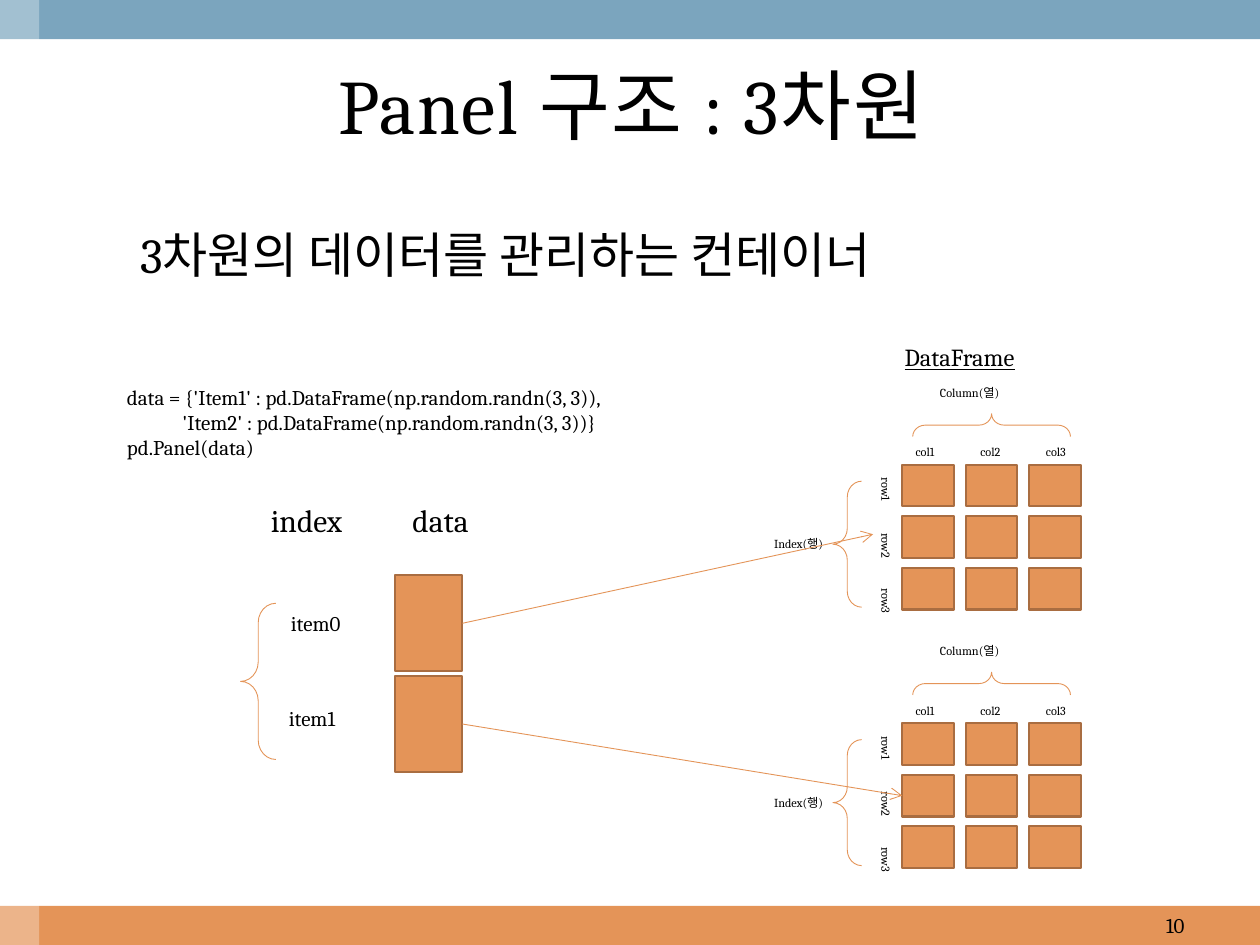
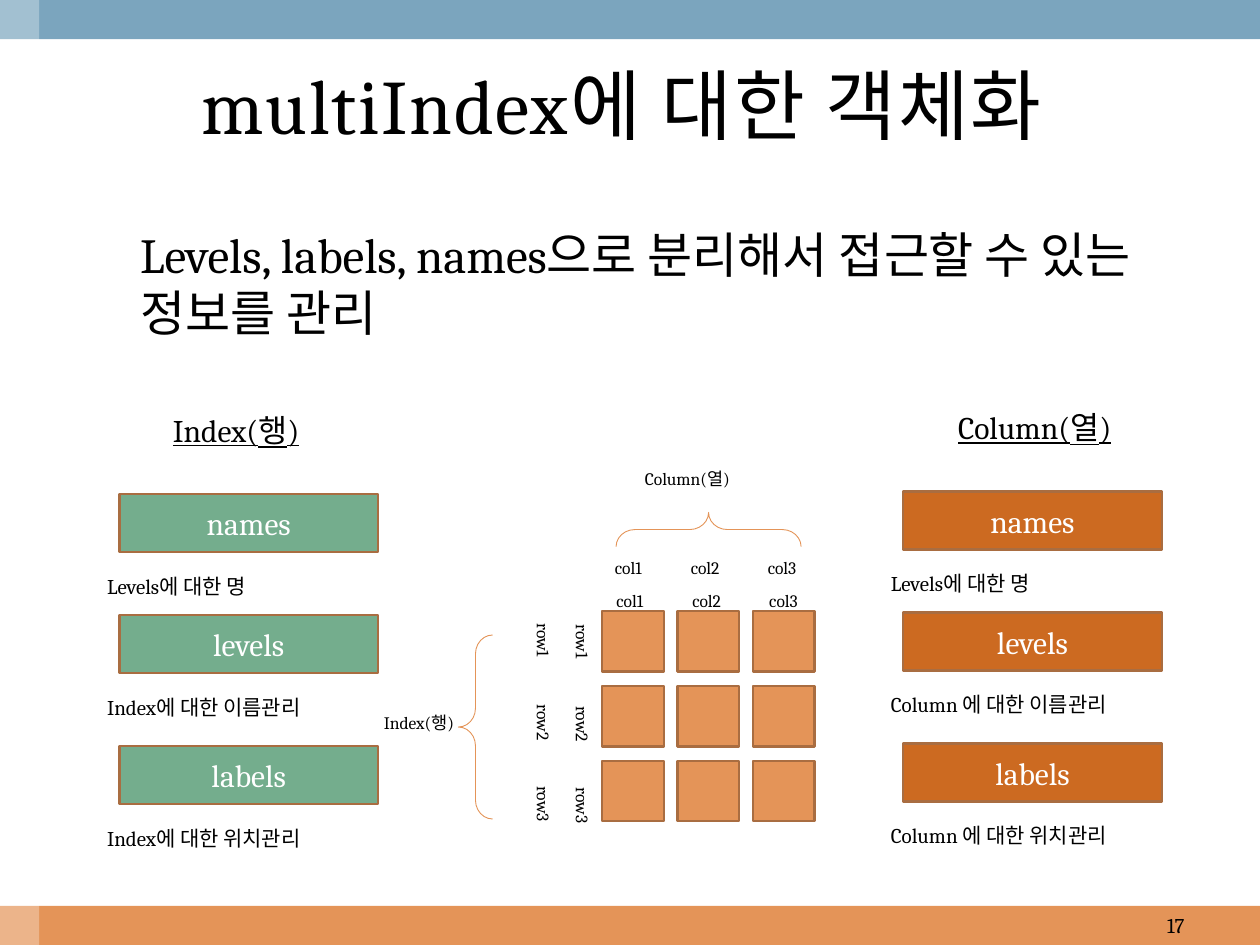
from dataclasses import dataclass

from pptx import Presentation
from pptx import util as u
from pptx.dml.color import RGBColor
from pptx.enum import shapes, text
from pptx.oxml.ns import qn
from lxml import etree

FONT = "Cambria"
COLORS = {
    "orange": "E49458", "blue": "7BA5BE", "white": "FFFFFF", "black": "000000",
    "outline": "A96D41", "green": "74AD8D", "rust": "CC6A21",
}
SLIDE_W, SLIDE_H, BAND = 25.4, 19.05, 0.79
LEFT, CENTER, RIGHT = text.PP_ALIGN.LEFT, text.PP_ALIGN.CENTER, text.PP_ALIGN.RIGHT


@dataclass
class FrameLayout:
    """Sizes in cm and offsets (dx, dy) from the top left cell of a DataFrame."""
    cell: tuple
    pitch: tuple
    size: int
    label_h: float
    index: tuple          # dx, dy, width
    column: tuple         # dx, dy, width
    row_brace: tuple      # dx, dy, width, height
    col_brace: tuple      # the same, before rotation
    col_labels: tuple     # dx, dy, width, pitch
    row_labels: tuple     # dx, dy, width, height, pitch


SMALL = FrameLayout(
    (1.04, 0.84), (1.28, 1.04), 7, 0.3, (-3.4, 1.32, 2.62), (0.51, -1.73, 3.12),
    (-1.4, 0.33, 0.58, 2.54), (1.57, -2.39, 0.46, 3.18),
    (-0.13, -0.53, 1.17, 1.32), (-0.58, 0.03, 0.53, 0.48, 1.12))
LARGE = FrameLayout(
    (1.24, 1.22), (1.52, 1.51), 10, 0.69, (-5.23, 1.91, 3.07), (0.61, -3.0, 3.66),
    (-2.9, 0.48, 0.69, 3.71), (1.8, -3.51, 0.69, 3.73),
    (-0.13, -0.56, 1.37, 1.55), (-0.99, 0.03, 0.94, 1.12, 1.64))


def cm(*values):
    return [u.Cm(v) for v in values]


def rgb(name):
    return RGBColor.from_string(COLORS[name])


def add_run(p, content, size, color="black", underline=None):
    r = p.add_run()
    r.text = content
    f = r.font
    f.name, f.size, f.underline = FONT, u.Pt(size), underline
    f.color.rgb = rgb(color)
    return r


def add_label(s, x, y, w, h, lines, size, align=CENTER, underline=None, anchor=None):
    sp = s.shapes.add_textbox(*cm(x, y, w, h))
    tf = sp.text_frame
    tf.word_wrap = True
    tf.vertical_anchor = anchor
    for i, line in enumerate(lines.split("\n")):
        p = tf.add_paragraph() if i else tf.paragraphs[0]
        p.alignment = align
        add_run(p, line, size, underline=underline)
    return sp


def add_rect(s, x, y, w, h, fill, line="outline"):
    sp = s.shapes.add_shape(shapes.MSO_SHAPE.RECTANGLE, *cm(x, y, w, h))
    sp.shadow.inherit = False
    sp.fill.solid()
    sp.fill.fore_color.rgb = rgb(fill)
    if line:
        sp.line.color.rgb = rgb(line)
        sp.line.width = u.Pt(1.25)
    else:
        sp.line.fill.background()
    return sp


def add_brace(s, x, y, w, h, rotation):
    sp = s.shapes.add_shape(shapes.MSO_SHAPE.RIGHT_BRACE, *cm(x, y, w, h))
    sp.shadow.inherit = False
    sp.rotation = rotation
    sp.adjustments[0], sp.adjustments[1] = 0.55, 0.5
    sp.fill.background()
    sp.line.color.rgb = rgb("orange")
    sp.line.width = u.Pt(0.5)


def add_arrow(s, source, x, y):
    """Arrow from the right side of a rectangle to a point."""
    c = s.shapes.add_connector(shapes.MSO_CONNECTOR.STRAIGHT, 0, 0, *cm(x, y))
    c.begin_connect(source, 3)
    c.line.color.rgb = rgb("orange")
    c.line.width = u.Pt(0.5)
    etree.SubElement(c.line._get_or_add_ln(), qn("a:tailEnd"), type="arrow")
    etree.SubElement(c._element.spPr, qn("a:effectLst"))
    return c


def add_bands(s):
    add_rect(s, 0, SLIDE_H - BAND, SLIDE_W, BAND, "orange", None)
    add_rect(s, 0, 0, SLIDE_W, BAND, "blue", None)
    strip = add_rect(s, 0, 0, BAND, SLIDE_H, "white", None)
    color = strip._element.spPr.find(qn("a:solidFill"))[0]
    etree.SubElement(color, qn("a:alpha"), val="30000")


def new_slide(prs, title, body, body_h, number):
    s = prs.slides.add_slide(prs.slide_layouts[1])
    add_bands(s)
    boxes = ((s.shapes.title, (0.84, 0.79, 23.77, 2.62)),
             (s.placeholders[1], (1.3, 4.39, 22.86, body_h)))
    for sp, box in boxes:
        sp.left, sp.top, sp.width, sp.height = cm(*box)
        sp.text_frame.auto_size = text.MSO_AUTO_SIZE.NONE

    tf = s.shapes.title.text_frame
    tf.vertical_anchor = text.MSO_ANCHOR.MIDDLE
    p = tf.paragraphs[0]
    p.alignment = CENTER
    add_run(p, title, 44).font._element.set("spc", "100")

    p = s.placeholders[1].text_frame.paragraphs[0]
    pPr = p._p.get_or_add_pPr()
    pPr.set("marL", str(u.Cm(1.27)))
    pPr.set("indent", "0")
    etree.SubElement(pPr, qn("a:buNone"))
    p.space_before = u.Pt(0)
    add_run(p, body, 28)

    add_label(s, 18.21, SLIDE_H - BAND, 5.92, BAND, number, 12, RIGHT,
              anchor=text.MSO_ANCHOR.MIDDLE)
    return s


def add_col_labels(s, x, y, g):
    dx, dy, w, pitch = g.col_labels
    for i in range(3):
        add_label(s, x + dx + i * pitch, y + dy, w, g.label_h, f"col{i + 1}", g.size)


def add_row_labels(s, x, y, g):
    dx, dy, w, h, pitch = g.row_labels
    for i in range(3):
        sp = add_label(s, x + dx, y + dy + i * pitch, w, h, f"row{i + 1}", g.size, LEFT)
        sp.text_frame.word_wrap = False
        sp.text_frame.auto_size = text.MSO_AUTO_SIZE.SHAPE_TO_FIT_TEXT
        sp.text_frame._txBody.bodyPr.set("vert", "eaVert")


def add_dataframe(s, x, y, g):
    """Draws the 3 x 3 frame and returns its cells, row by row."""
    cells = [add_rect(s, x + col * g.pitch[0], y + row * g.pitch[1], *g.cell, "orange")
             for row in range(3) for col in range(3)]
    for (dx, dy, w), name, align in ((g.index, "Index(행)", CENTER),
                                     (g.column, "Column(열)", LEFT)):
        add_label(s, x + dx, y + dy, w, g.label_h, name, g.size, align)
    for (dx, dy, w, h), rotation in ((g.row_brace, 180), (g.col_brace, 270)):
        add_brace(s, x + dx, y + dy, w, h, rotation)
    add_col_labels(s, x, y, g)
    add_row_labels(s, x, y, g)
    return cells


def add_panel_items(s, x, y):
    """Draws the index and data columns and returns the data boxes."""
    boxes = [add_rect(s, x + 3.12, y + 1.62 + i * 2.03, 1.35, 1.93, "orange")
             for i in range(2)]
    add_label(s, x - 0.03, y, 2.72, 1.02, "index", 18)
    add_label(s, x + 2.67, y, 2.72, 1.02, "data", 18)
    add_brace(s, x, y + 2.18, 0.71, 3.15, 180)
    add_label(s, x - 0.1, y + 2.21, 3.23, 0.76, "item0", 12)
    add_label(s, x + 0.36, y + 4.11, 2.16, 0.76, "item1", 12)
    return boxes


def add_axis_parts(s, x, y, heading, heading_dx, fill, subject):
    add_label(s, x + heading_dx, y - 1.8, 4.7, 1.02, heading, 18, underline=True)
    parts = (("names", 0, "Levels에 대한 명"),
             ("levels", 2.44, f"{subject}에 대한 이름관리"),
             ("labels", 5.08, f"{subject}에 대한 위치관리"))
    for name, dy, caption in parts:
        sp = add_rect(s, x, y + dy, 5.21, 1.17, fill)
        sp.text_frame.vertical_anchor = text.MSO_ANCHOR.MIDDLE
        p = sp.text_frame.paragraphs[0]
        p.alignment = CENTER
        add_run(p, name, 18, "white")
        add_label(s, x - 0.5, y + dy + 1.47, 6.2, 0.64, caption, 12, LEFT)


def panel_slide(prs):
    s = new_slide(prs, "Panel 구조 : 3차원", "3차원의 데이터를 관리하는 컨테이너", 3.73, "10")
    boxes = add_panel_items(s, 4.85, 9.98)
    add_label(s, 14.99, 6.78, 8.71, 0.86, "DataFrame", 14, underline=True)
    add_dataframe(s, 18.19, 9.37, SMALL)
    cells = add_dataframe(s, 18.19, 14.58, SMALL)
    add_arrow(s, boxes[0], 17.6, 10.77)
    add_arrow(s, boxes[1], 18.14, 15.98).end_connect(cells[3], 1)
    add_label(s, 2.31, 7.62, 14.27, 1.8,
              "data = {'Item1' : pd.DataFrame(np.random.randn(3, 3)),\n"
              "            'Item2' : pd.DataFrame(np.random.randn(3, 3))}\n"
              "pd.Panel(data)", 12, LEFT)


def multi_index_slide(prs):
    s = new_slide(prs, "multiIndex에 대한 객체화 ",
                  "Levels, labels, names으로 분리해서 접근할 수 있는 정보를 관리", 2.54, "17")
    x, y = 12.14, 12.32
    add_dataframe(s, x, y, LARGE)
    add_row_labels(s, x - 0.79, y - 0.03, LARGE)
    add_col_labels(s, x - 0.03, y - 0.66, LARGE)
    add_axis_parts(s, 2.41, 9.96, "Index(행)", 0, "green", "Index")
    add_axis_parts(s, 18.21, 9.91, "Column(열)", 0.3, "rust", "Column ")


def main():
    prs = Presentation()
    prs.slide_width, prs.slide_height = cm(SLIDE_W, SLIDE_H)
    panel_slide(prs)
    multi_index_slide(prs)
    prs.save("out.pptx")


if __name__ == "__main__":
    main()
